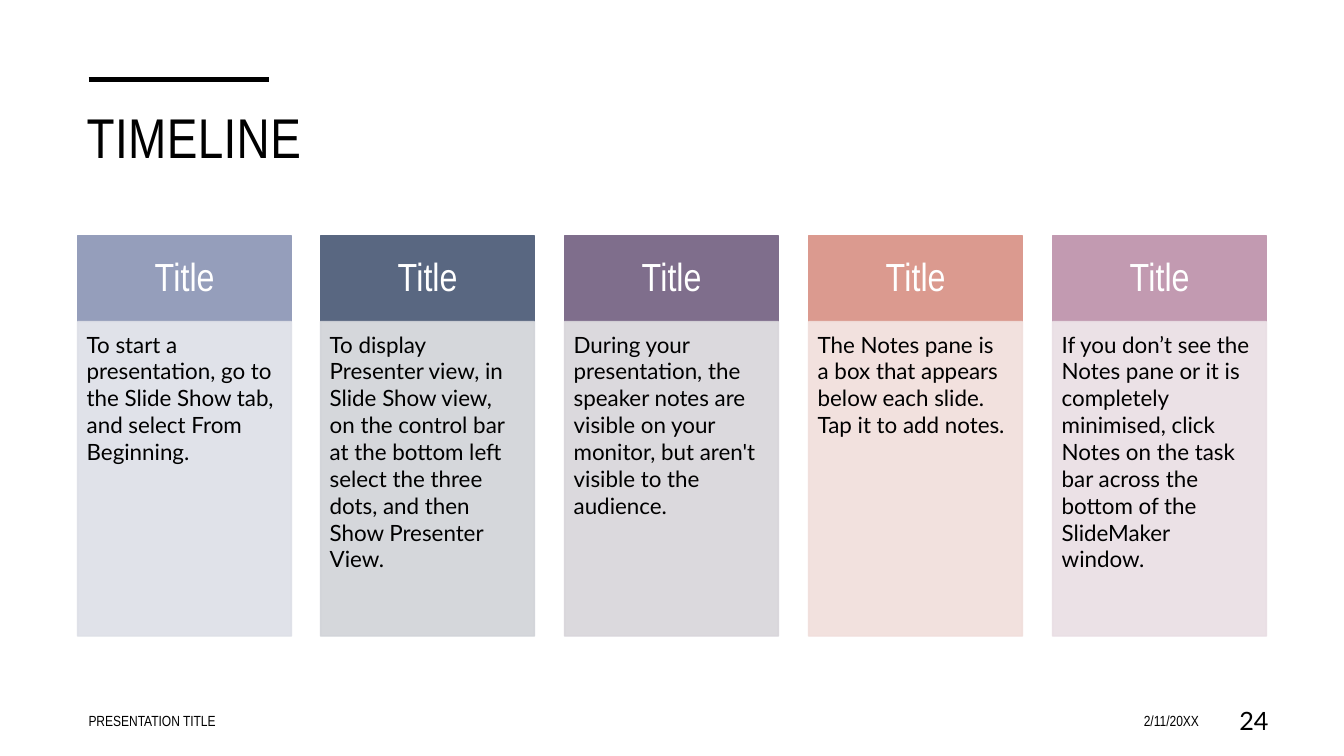
from pptx import Presentation
from pptx import util as u
from pptx.dml.color import RGBColor
from pptx.enum import shapes, text
from pptx.oxml.ns import qn
from lxml import etree

PX = 9144
NARROW = "Arial Narrow"
CARDS = [
    ("959EBB", "DDDFE7", "To start a presentation, go to the Slide Show tab, "
     "and select From Beginning."),
    ("596781", "D1D3D8", "To display Presenter view, in Slide Show view, on the "
     "control bar at the bottom left select the three dots, and then Show "
     "Presenter View."),
    ("7F6E8C", "D8D5DA", "During your presentation, the speaker notes are "
     "visible on your monitor, but aren't visible to the audience."),
    ("DB9A8F", "F1DEDB", "The Notes pane is a box that appears below each slide. "
     "Tap it to add notes."),
    ("C29AB1", "E9DEE4", "If you don’t see the Notes pane or it is completely "
     "minimised, click Notes on the task bar across the bottom of the "
     "SlideMaker window."),
]


def px(*nums):
    return [u.Emu(n * PX) for n in nums]


def color(code):
    return RGBColor.from_string(code)


def write(shape, words, size, font=NARROW, ink="000000", align="LEFT",
          anchor="TOP", pad=(10, 5, 10, 5), lead=1.0, track=None):
    frame = shape.text_frame
    frame.word_wrap = True
    frame.auto_size = text.MSO_AUTO_SIZE.NONE
    frame.vertical_anchor = text.MSO_ANCHOR[anchor]
    (frame.margin_left, frame.margin_top,
     frame.margin_right, frame.margin_bottom) = px(*pad)
    para = frame.paragraphs[0]
    para.alignment = text.PP_ALIGN[align]
    para.line_spacing = lead
    run = para.add_run()
    run.text = words
    run.font.size = u.Pt(size)
    run.font.name = font
    run.font.color.rgb = color(ink)
    if track:
        run.font._element.set("spc", str(track))


def fade(paint, alpha):
    tint = paint.find(qn("a:solidFill"))[0]
    etree.SubElement(tint, qn("a:alpha")).set("val", str(alpha * 1000))


def block(slide, box, fill, alpha=None):
    shape = slide.shapes.add_shape(shapes.MSO_SHAPE.RECTANGLE, *px(*box))
    shape.shadow.inherit = False
    shape.fill.solid()
    shape.fill.fore_color.rgb = color(fill)
    shape.line.color.rgb = color(fill)
    shape.line.width = u.Pt(1)
    if alpha:
        props = shape._element.spPr
        fade(props, alpha)
        fade(props.find(qn("a:ln")), alpha)
    return shape


def card(slide, left, dark, pale, words):
    head = block(slide, (left, 234, 212, 85), dark)
    write(head, "Title", 28, ink="FFFFFF", align="CENTER", anchor="MIDDLE",
          pad=(22, 12, 22, 12), lead=0.9)
    body = block(slide, (left, 319, 212, 312), pale, 90)
    write(body, words, 16, "Lato", pad=(9, 9, 12, 14))


def rule(slide, left, right, top):
    line = slide.shapes.add_connector(
        shapes.MSO_CONNECTOR.STRAIGHT, *px(left, top, right, top))
    line.line.color.rgb = color("000000")
    line.line.width = u.Pt(3.5)
    etree.SubElement(line._element.spPr, qn("a:effectLst"))


def title(slide, words):
    shape = slide.shapes.title
    shape.left, shape.top, shape.width, shape.height = px(76, 97, 1181, 115)
    write(shape, words, 40, track=30)


def label(slide, left, width, words, size, **style):
    shape = slide.shapes.add_textbox(*px(left, 695, width, 40))
    write(shape, words, size, anchor="MIDDLE", **style)


def main():
    deck = Presentation()
    deck.slide_width, deck.slide_height = px(1333, 750)
    slide = deck.slides.add_slide(deck.slide_layouts[5])
    rule(slide, 88, 267, 79)
    title(slide, "TIMELINE")
    for i, parts in enumerate(CARDS):
        card(slide, 77 + i * 967 // 4, *parts)
    label(slide, 78, 496, "PRESENTATION TITLE", 10.5)
    label(slide, 915, 284, "2/11/20XX", 10.5, align="RIGHT")
    label(slide, 1194, 74, "24", 18, font="Lato", align="RIGHT")
    deck.save("out.pptx")


if __name__ == "__main__":
    main()
